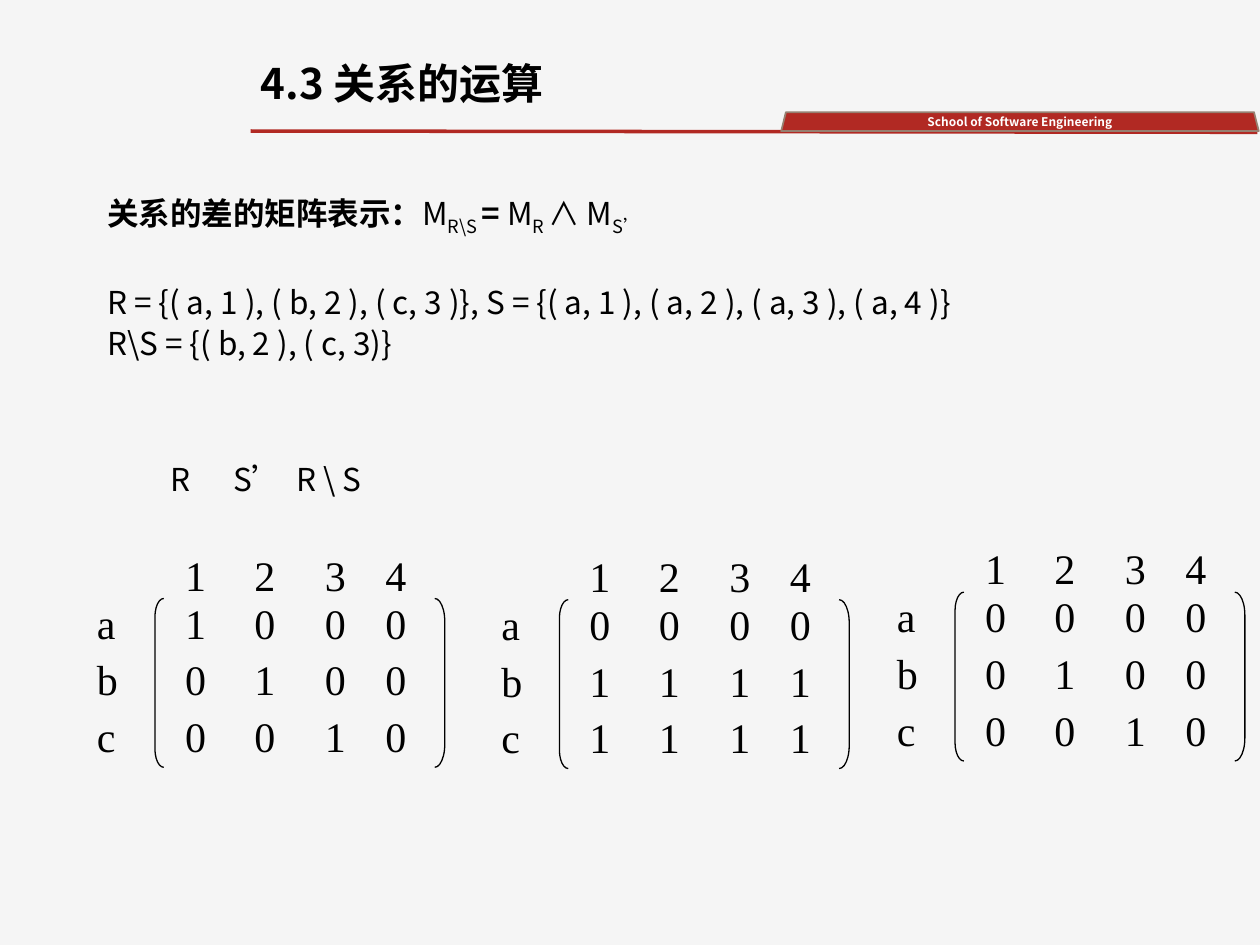
"""Build the slide on the matrix form of the difference of two relations."""
from dataclasses import dataclass

from lxml import etree
from pptx import Presentation
from pptx.dml.color import RGBColor
from pptx.enum.shapes import MSO_CONNECTOR, MSO_SHAPE
from pptx.enum.text import MSO_ANCHOR, MSO_AUTO_SIZE, PP_ALIGN
from pptx.oxml.ns import qn
from pptx.util import Inches, Pt


@dataclass(frozen=True)
class Theme:
    background: RGBColor = RGBColor(0xF5, 0xF5, 0xF5)
    accent: RGBColor = RGBColor(0xB1, 0x29, 0x23)
    outline: RGBColor = RGBColor(0x96, 0x80, 0x71)
    ink: RGBColor = RGBColor(0, 0, 0)
    light: RGBColor = RGBColor(0xFF, 0xFF, 0xFF)
    sans: str = "Noto Sans CJK SC"
    serif: str = "Times New Roman"
    heading_size: float = 24
    body_size: float = 18
    banner_size: float = 6.8
    line_spacing: float = 0.81
    space_before: float = 6


theme = Theme()


def add_text(paragraph, text, *, size=theme.body_size, font=theme.sans,
             color=theme.ink, bold=False, baseline=0):
    run = paragraph.add_run()
    run.text = text
    run.font.size = Pt(size)
    run.font.name = font
    run.font.bold = bold
    run.font.color.rgb = color
    properties = run._r.get_or_add_rPr()
    etree.SubElement(properties, qn("a:ea")).set("typeface", font)
    if baseline:
        properties.set("baseline", str(baseline * 1000))


def place(shape, left, top, width, height):
    shape.left, shape.top = Inches(left), Inches(top)
    shape.width, shape.height = Inches(width), Inches(height)


presentation = Presentation()
presentation.slide_width, presentation.slide_height = Inches(10), Inches(7.5)
slide = presentation.slides.add_slide(presentation.slide_layouts[1])
slide.background.fill.solid()
slide.background.fill.fore_color.rgb = theme.background

rule = slide.shapes.add_connector(
    MSO_CONNECTOR.STRAIGHT, Inches(1.99), Inches(1.04), Inches(9.98), Inches(1.05))
rule.line.color.rgb = theme.accent
rule.line.width = Pt(2)
etree.SubElement(rule._element.spPr, qn("a:effectLst"))

banner = slide.shapes.add_shape(
    MSO_SHAPE.TRAPEZOID, Inches(6.2), Inches(0.89), Inches(3.79), Inches(0.15))
banner.shadow.inherit = False
banner.fill.solid()
banner.fill.fore_color.rgb = theme.accent
banner.line.color.rgb = theme.outline
banner.line.width = Pt(1)
frame = banner.text_frame
frame.margin_top = frame.margin_bottom = 0
frame.vertical_anchor = MSO_ANCHOR.MIDDLE
frame.paragraphs[0].alignment = PP_ALIGN.CENTER
add_text(frame.paragraphs[0], "School of Software Engineering",
         size=theme.banner_size, color=theme.light, bold=True)

title = slide.shapes.title
place(title, 1.97, 0.48, 4.55, 0.56)
title.text_frame.vertical_anchor = MSO_ANCHOR.TOP
title.text_frame.auto_size = MSO_AUTO_SIZE.NONE
title_line = title.text_frame.paragraphs[0]
title_line.alignment = PP_ALIGN.LEFT
title_line.line_spacing = theme.line_spacing
add_text(title_line, "4.3 关系的运算", size=theme.heading_size, bold=True)

body = slide.placeholders[1]
place(body, 0.75, 1.52, 8.92, 5.21)
body.text_frame.auto_size = MSO_AUTO_SIZE.NONE
subscript, strong = {"baseline": -25}, {"bold": True}
body_lines = [
    (0, [("关系的差的矩阵表示：", strong), ("M", {}), ("R\\S ", subscript),
         ("=", strong), (" M", {}), ("R ", subscript), ("∧ M", {}),
         ("S’", subscript)]),
    (27, [("R = {( a, 1 ), ( b, 2 ), ( c, 3 )}, "
           "S = {( a, 1 ), ( a, 2 ), ( a, 3 ), ( a, 4 )}", {})]),
    (0, [("R\\S = {( b, 2 ), ( c, 3)}", {})]),
    (54, [("\tR\tS’\tR \\ S", {})]),
]
for index, (extra_space, runs) in enumerate(body_lines):
    frame = body.text_frame
    paragraph = frame.add_paragraph() if index else frame.paragraphs[0]
    paragraph.line_spacing = theme.line_spacing
    paragraph.space_before = Pt(theme.space_before + extra_space)
    properties = paragraph._p.get_or_add_pPr()
    properties.set("marL", "0")
    properties.set("indent", "0")
    etree.SubElement(properties, qn("a:buNone"))
    for text, style in runs:
        add_text(paragraph, text, **style)

tab_list = etree.SubElement(properties, qn("a:tabLst"))
for position in (1.01, 3.52, 5.94):
    tab = etree.SubElement(tab_list, qn("a:tab"))
    tab.set("pos", str(Inches(position)))
    tab.set("algn", "l")

column_offsets = (-0.56, 0.14, 0.69, 1.25, 1.73)
row_offsets = (-0.44, -0.06, 0.39, 0.84)
brackets = (
    (MSO_SHAPE.LEFT_BRACKET, 0, 0.07, 2.09),
    (MSO_SHAPE.RIGHT_BRACKET, 2.22, 0.08, 2.29),
)
matrices = (
    (1.23, 4.75, ("1000", "0100", "0010")),
    (4.44, 4.76, ("0000", "1111", "1111")),
    (7.58, 4.70, ("0000", "0100", "0010")),
)
for left, top, rows in matrices:
    matrix = slide.shapes.add_group_shape()
    for kind, offset, width, curve in brackets:
        bracket = matrix.shapes.add_shape(
            kind, Inches(left + offset), Inches(top), Inches(width), Inches(1.34))
        bracket.adjustments[0] = curve
        bracket.shadow.inherit = False
        bracket.fill.background()
        bracket.line.color.rgb = theme.ink
        bracket.line.width = Pt(0.75)
    labelled_rows = [" 1234"] + [name + row for name, row in zip("abc", rows)]
    for row_offset, row in zip(row_offsets, labelled_rows):
        for column_offset, entry in zip(column_offsets, row):
            if entry == " ":
                continue
            cell = matrix.shapes.add_textbox(
                Inches(left + column_offset), Inches(top + row_offset),
                Inches(0.49), Inches(0.51))
            cell.text_frame.word_wrap = True
            cell.text_frame.auto_size = MSO_AUTO_SIZE.SHAPE_TO_FIT_TEXT
            add_text(cell.text_frame.paragraphs[0], entry,
                     size=theme.heading_size, font=theme.serif)

presentation.save("out.pptx")
